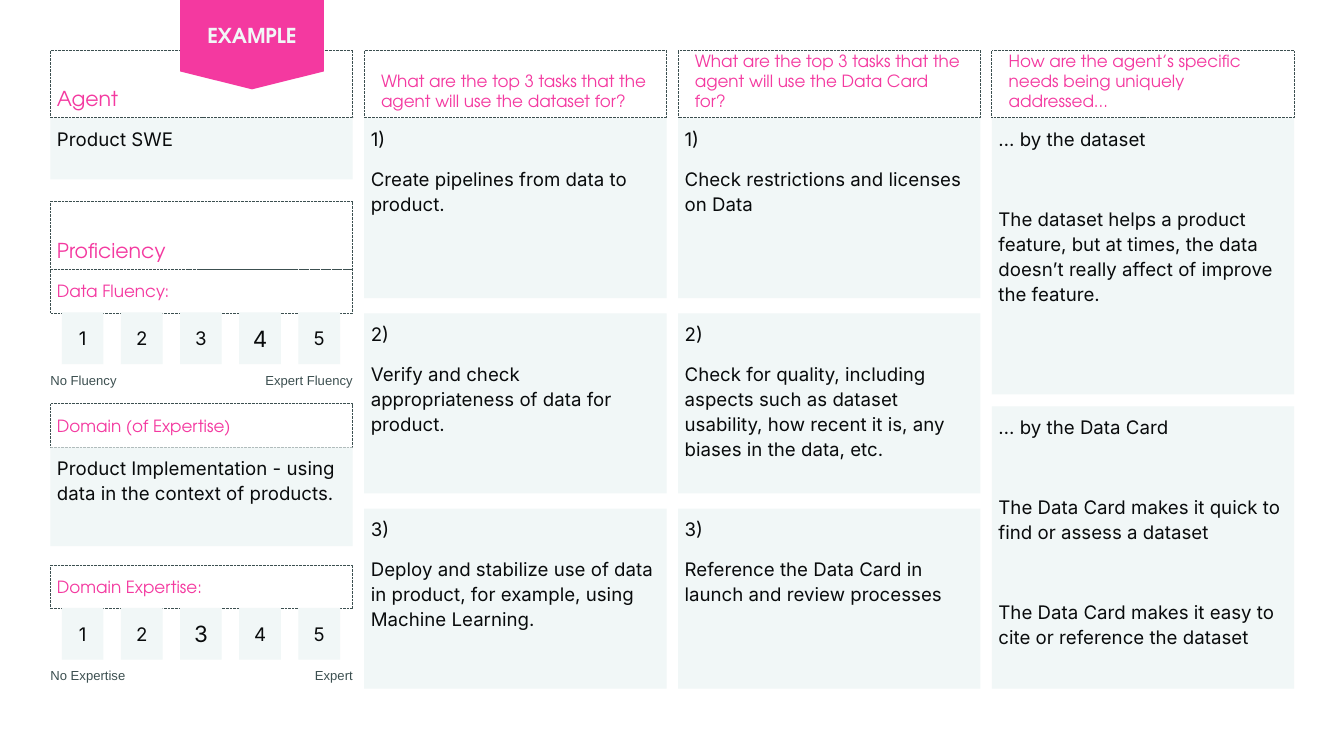
from pptx import Presentation
from pptx.dml.color import RGBColor
from pptx.enum.dml import MSO_LINE
from pptx.enum.shapes import MSO_SHAPE
from pptx.enum.text import MSO_ANCHOR, PP_ALIGN
from pptx.util import Inches, Pt

PINK, PALE, INK, SLATE = "F439A0", "F1F7F7", "090B0C", "3C4F50"
GAP = 59  # points before a paragraph that stands well apart

# Text styles: font, colour, paragraph and frame values
STYLES = {
    "title": {"font": {"name": "TeX Gyre Adventor", "size": Pt(22)}, "color": PINK,
              "frame": {"vertical_anchor": MSO_ANCHOR.BOTTOM}},
    "label": {"font": {"name": "TeX Gyre Adventor", "size": Pt(18)}, "color": PINK,
              "frame": {"vertical_anchor": MSO_ANCHOR.MIDDLE}},
    "query": {"font": {"name": "TeX Gyre Adventor", "size": Pt(18)}, "color": PINK,
              "frame": {"vertical_anchor": MSO_ANCHOR.BOTTOM,
                        "margin_left": Inches(0.25), "margin_right": Inches(0.25)}},
    "body": {"font": {"name": "Inter", "size": Pt(20)}, "color": INK,
             "para": {"line_spacing": 1.12},
             "frame": {"vertical_anchor": MSO_ANCHOR.TOP}},
    "score": {"font": {"name": "Inter", "size": Pt(20)}, "color": INK,
              "para": {"alignment": PP_ALIGN.CENTER},
              "frame": {"vertical_anchor": MSO_ANCHOR.MIDDLE}},
    "picked": {"font": {"name": "Inter", "size": Pt(24)}, "color": INK,
               "para": {"alignment": PP_ALIGN.CENTER},
               "frame": {"vertical_anchor": MSO_ANCHOR.MIDDLE}},
    "low": {"font": {"name": "Arial", "size": Pt(14)}, "color": SLATE,
            "frame": {"vertical_anchor": MSO_ANCHOR.MIDDLE,
                      "margin_left": 0, "margin_right": 0}},
    "high": {"font": {"name": "Arial", "size": Pt(14)}, "color": SLATE,
             "para": {"alignment": PP_ALIGN.RIGHT},
             "frame": {"vertical_anchor": MSO_ANCHOR.MIDDLE,
                       "margin_left": 0, "margin_right": 0}},
    "flag": {"font": {"name": "TeX Gyre Adventor", "size": Pt(22), "bold": True},
             "color": PALE, "para": {"alignment": PP_ALIGN.CENTER},
             "frame": {"vertical_anchor": MSO_ANCHOR.MIDDLE}},
}
FRAME = {"word_wrap": True, "margin_left": Inches(0.1), "margin_right": Inches(0.1),
         "margin_top": Inches(0.1), "margin_bottom": Inches(0.1)}
PARA = {"alignment": PP_ALIGN.LEFT}


def paint(part, color):
    part.rgb = RGBColor.from_string(color)


def apply(target, values):
    for name, value in values.items():
        setattr(target, name, value)


def write(shape, lines, style, gap=16):
    """Fill a shape with paragraphs set gap points apart."""
    look = STYLES[style]
    frame = shape.text_frame
    apply(frame, FRAME | look["frame"])
    for i, line in enumerate(lines):
        para = frame.paragraphs[0] if i == 0 else frame.add_paragraph()
        apply(para, PARA | look.get("para", {}))
        if i:
            para.space_before = Pt(gap)
        run = para.add_run()
        run.text = line
        apply(run.font, look["font"])
        paint(run.font.color, look["color"])


def block(slide, box, fill=None, kind=MSO_SHAPE.RECTANGLE):
    """Add a filled shape, or a dotted outline when no fill is given."""
    shape = slide.shapes.add_shape(kind, *map(Inches, box))
    shape.shadow.inherit = False
    if fill:
        shape.fill.solid()
        paint(shape.fill.fore_color, fill)
        shape.line.fill.background()
    else:
        shape.fill.background()
        paint(shape.line.color, SLATE)
        apply(shape.line, {"width": Pt(0.75), "dash_style": MSO_LINE.ROUND_DOT})
    return shape


def heading(slide, box, text, style):
    write(block(slide, box), [text], style)


def card(slide, box, lines, gap=16):
    write(block(slide, box, PALE), lines, "body", gap)


def scale(slide, box, name, ends, pick):
    """Heading, five score tiles and the names of both ends."""
    x, y, w, _ = box
    heading(slide, (x, y, w, 0.65), name, "label")
    for n in range(1, 6):
        tile = block(slide, (x + 0.17 + 0.88 * (n - 1), y + 0.64, 0.62, 0.77), PALE)
        write(tile, [str(n)], "picked" if n == pick else "score")
    half = w / 2 - 0.1
    for left, text, style in zip((x, x + w - half), ends, ("low", "high")):
        note = slide.shapes.add_textbox(*map(Inches, (left, y + 1.4, half, 0.49)))
        write(note, [text], style)


def profile(slide, box):
    """Agent, proficiency and domain in the first column."""
    x, y, w, _ = box
    heading(slide, (x, y, w, 1), "Agent", "title")
    card(slide, (x, y + 1.01, w, 0.91), ["Product SWE"])
    heading(slide, (x, y + 2.24, w, 1.02), "Proficiency", "title")
    scale(slide, (x, y + 3.26, w, 1.89), "Data Fluency:",
          ("No Fluency", "Expert Fluency"), 4)
    heading(slide, (x, y + 5.26, w, 0.65), "Domain (of Expertise)", "label")
    card(slide, (x, y + 5.91, w, 1.47),
         ["Product Implementation - using data in the context of products."])
    scale(slide, (x, y + 7.66, w, 1.89), "Domain Expertise:",
          ("No Expertise", "Expert"), 3)


def tasks(slide, box, query, items):
    """A question above three numbered cards."""
    x, y, w, h = box
    heading(slide, (x, y, w, 1), query, "query")
    pitch, high = 2.905, 2.68
    for i, item in enumerate(items):
        card(slide, (x, y + 1.01 + i * pitch, w, high), [f"{i + 1})", item])


def needs(slide, box, query, upper, lower):
    """A question above two cards with widely spaced text."""
    x, y, w, h = box
    heading(slide, (x, y, w, 1), query, "query")
    card(slide, (x, y + 1.01, w, 4.11), upper, GAP)
    card(slide, (x, y + 5.3, w, h - 5.3), lower, GAP)


def flag(slide, box):
    shape = block(slide, box, PINK, MSO_SHAPE.FLOWCHART_OFFPAGE_CONNECTOR)
    write(shape, ["EXAMPLE"], "flag")


def main():
    deck = Presentation()
    deck.slide_width, deck.slide_height = Inches(20), Inches(11)
    slide = deck.slides.add_slide(deck.slide_layouts[6])

    # Four equal columns
    cols = [(0.75 + 4.67 * i, 0.75, 4.5, 9.5) for i in range(4)]
    profile(slide, cols[0])
    tasks(slide, cols[1],
          "What are the top 3 tasks that the agent will use the dataset for?",
          ["Create pipelines from data to product.",
           "Verify and check appropriateness of data for product.",
           "Deploy and stabilize use of data in product, for example, "
           "using Machine Learning."])
    tasks(slide, cols[2],
          "What are the top 3 tasks that the agent will use the Data Card for?",
          ["Check restrictions and licenses on Data",
           "Check for quality, including aspects such as dataset usability, "
           "how recent it is, any biases in the data, etc.",
           "Reference the Data Card in launch and review processes"])
    needs(slide, cols[3],
          "How are the agent’s specific needs being uniquely addressed...",
          ["… by the dataset",
           "The dataset helps a product feature, but at times, the data "
           "doesn’t really affect of improve the feature."],
          ["… by the Data Card",
           "The Data Card makes it quick to find or assess a dataset",
           "The Data Card makes it easy to cite or reference the dataset"])

    # Flag over the first column
    flag(slide, (2.68, 0, 2.14, 1.33))
    deck.save("out.pptx")


if __name__ == "__main__":
    main()
